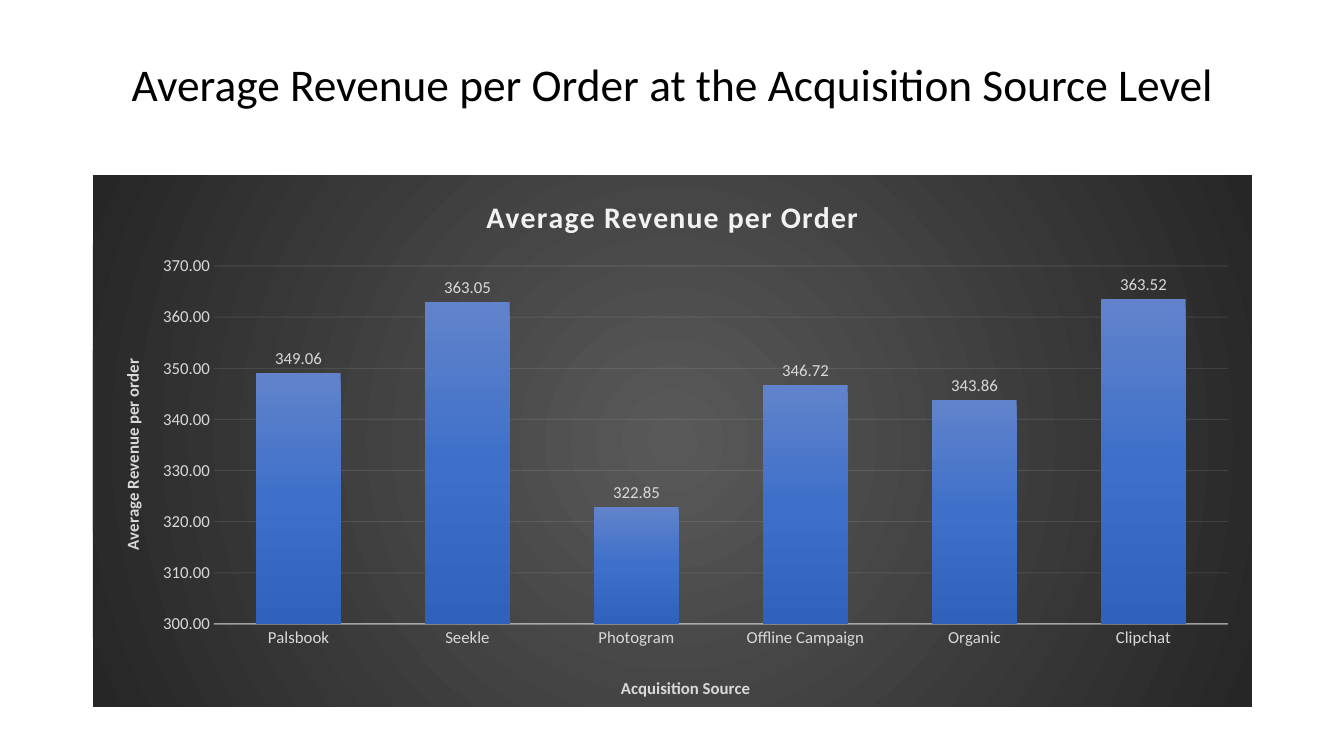
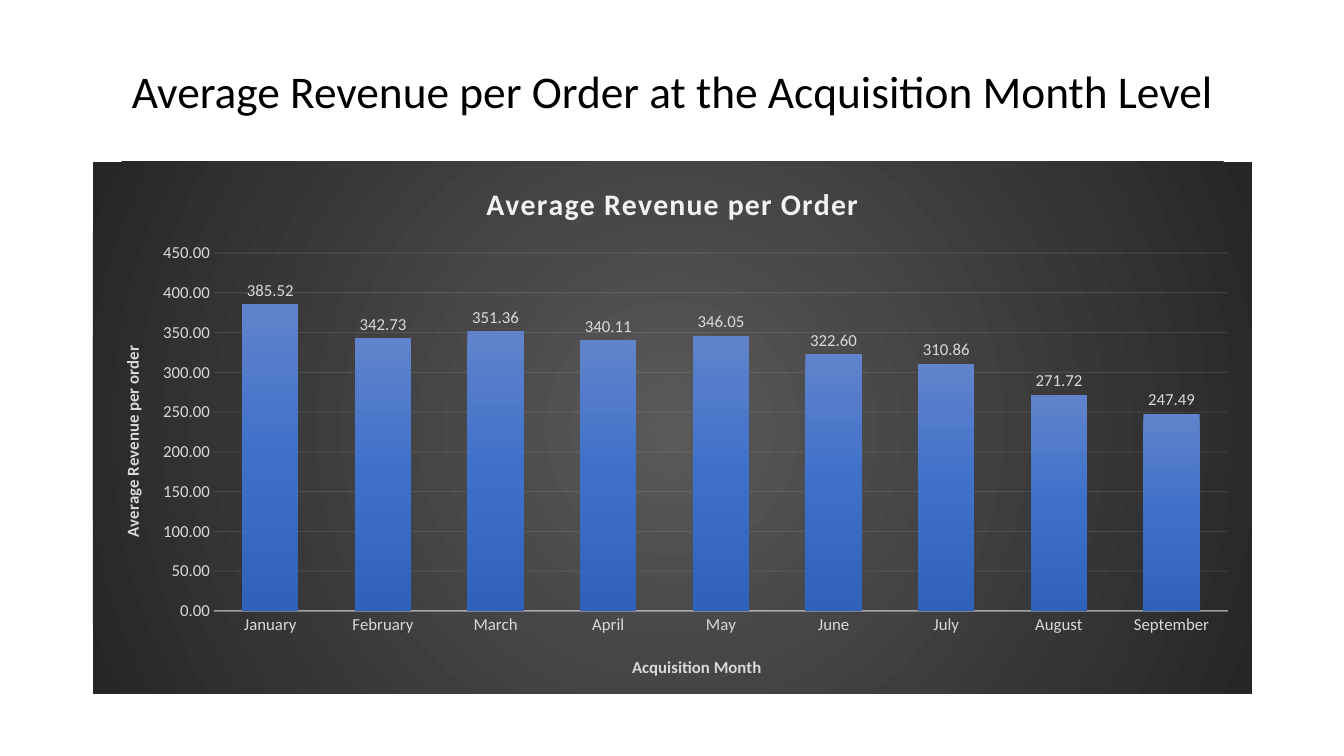
"""Build two slides of average revenue per order as dark column charts."""
from pptx import Presentation
from pptx.chart.data import CategoryChartData
from pptx.dml.color import RGBColor
from pptx.enum.chart import XL_CHART_TYPE as ChartType
from pptx.enum.chart import XL_LABEL_POSITION as LabelPosition
from pptx.enum.chart import XL_TICK_MARK as TickMark
from pptx.enum.text import MSO_ANCHOR as Anchor
from pptx.enum.text import PP_ALIGN as Align
from pptx.oxml import parse_xml
from pptx.oxml.ns import nsdecls
from pptx.util import Pt

PX = 914400 / 100.8
PAGE_WIDTH, PAGE_HEIGHT = 1344, 756
LEFT, WIDTH = 93, 1159
TITLE_TOP = 40
FONT = "Calibri"

BLACK = RGBColor(0x00, 0x00, 0x00)
PALE = RGBColor(0xF2, 0xF2, 0xF2)
LIGHT = RGBColor(0xD9, 0xD9, 0xD9)
PANEL_STOPS = [(0, RGBColor(0x59, 0x59, 0x59)), (100, RGBColor(0x26, 0x26, 0x26))]
COLUMN_STOPS = [
    (0, RGBColor(0x61, 0x83, 0xCB)),
    (50, RGBColor(0x3E, 0x70, 0xCA)),
    (100, RGBColor(0x30, 0x62, 0xBB)),
]
RADIAL = ('<a:path path="circle"><a:fillToRect l="50000" t="50000" '
          'r="50000" b="50000"/></a:path>')
DOWNWARD = '<a:lin ang="5400000" scaled="0"/>'

CHART_TITLE = "Average Revenue per Order"
VALUE_TITLE = "Average Revenue per order"
PLOT_AREA = (121, 91, 1014, 358)
VALUE_TITLE_AT = (25, 181)

SLIDES = [
    {
        "title": "Average Revenue per Order at the Acquisition Source Level",
        "title_height": 94,
        "chart_top": 175,
        "chart_height": 532,
        "category_title": "Acquisition Source",
        "category_title_at": (525, 499),
        "scale": (300, 370, 10),
        "revenue": [
            ("Palsbook", 349.06), ("Seekle", 363.05), ("Photogram", 322.85),
            ("Offline Campaign", 346.72), ("Organic", 343.86), ("Clipchat", 363.52),
        ],
    },
    {
        "title": "Average Revenue per Order at the Acquisition Month Level",
        "title_height": 108,
        "chart_top": 162,
        "chart_height": 532,
        "category_title": "Acquisition Month",
        "category_title_at": (536, 491),
        "scale": (0, 450, 50),
        "revenue": [
            ("January", 385.52), ("February", 342.73), ("March", 351.36),
            ("April", 340.11), ("May", 346.05), ("June", 322.60),
            ("July", 310.86), ("August", 271.72), ("September", 247.49),
        ],
    },
]


def px(length):
    return round(length * PX)


def set_font(font, size, color, bold=False):
    font.name, font.size, font.bold = FONT, Pt(size), bold
    font.color.rgb = color


def write_text(frame, text, *, size, color, bold=False, line_spacing=None, tracking=0):
    para = frame.paragraphs[0]
    para.alignment = Align.CENTER
    para.line_spacing = line_spacing
    span = para.add_run()
    span.text = text
    set_font(span.font, size, color, bold)
    if tracking:
        span.font._element.set("spc", str(tracking))


def gradient(stops, direction):
    marks = "".join(
        f'<a:gs pos="{place * 1000}"><a:srgbClr val="{color}"/></a:gs>'
        for place, color in stops)
    return parse_xml(f'<a:gradFill {nsdecls("a")} rotWithShape="1">'
                     f'<a:gsLst>{marks}</a:gsLst>{direction}</a:gradFill>')


def manual_layout(height, left, top, *size):
    shares = [("x", left / WIDTH), ("y", top / height)]
    if size:
        shares += [("w", size[0] / WIDTH), ("h", size[1] / height)]
    target = '<c:layoutTarget val="inner"/>' if size else ""
    modes = '<c:xMode val="edge"/><c:yMode val="edge"/>'
    values = "".join(f'<c:{name} val="{share:.4f}"/>' for name, share in shares)
    return parse_xml(f'<c:layout {nsdecls("c")}><c:manualLayout>{target}{modes}'
                     f'{values}</c:manualLayout></c:layout>')


def place(part, layout):
    for old in part.xpath("c:layout"):
        part.remove(old)
    text = part.xpath("c:tx")
    if text:
        text[0].addnext(layout)
    else:
        part.insert(0, layout)


def style_line(line, width, opacity):
    line.width = Pt(width)
    line.color.rgb = PALE
    color = line._ln.xpath("a:solidFill/a:srgbClr")[0]
    color.append(parse_xml(f'<a:alpha {nsdecls("a")} val="{opacity * 1000}"/>'))


def style_axis(axis, title, layout):
    axis.major_tick_mark = axis.minor_tick_mark = TickMark.NONE
    set_font(axis.tick_labels.font, 12, LIGHT)
    write_text(axis.axis_title.text_frame, title, size=12, color=LIGHT, bold=True)
    place(axis.axis_title.element, layout)


def style_axes(chart, content):
    height = content["chart_height"]
    category, value = chart.category_axis, chart.value_axis
    style_axis(category, content["category_title"],
               manual_layout(height, *content["category_title_at"]))
    style_line(category.format.line, 1, 54)
    style_axis(value, VALUE_TITLE, manual_layout(height, *VALUE_TITLE_AT))
    body = value.axis_title.element.xpath("c:tx/c:rich/a:bodyPr")[0]
    body.set("rot", "-5400000")
    body.set("vert", "horz")
    value.minimum_scale, value.maximum_scale, value.major_unit = content["scale"]
    value.tick_labels.number_format = "0.00"
    value.tick_labels.number_format_is_linked = False
    value.format.line.fill.background()
    style_line(value.major_gridlines.format.line, 0.75, 10)


def style_columns(plot, chart):
    plot.gap_width, plot.overlap = 100, -24
    plot.vary_by_categories = False
    plot.series[0].format.fill.solid()
    solid = chart.element.xpath(".//c:ser/c:spPr/a:solidFill")[0]
    solid.getparent().replace(solid, gradient(COLUMN_STOPS, DOWNWARD))
    plot.has_data_labels = True
    labels = plot.data_labels
    labels.show_value = True
    labels.position = LabelPosition.OUTSIDE_END
    labels.number_format, labels.number_format_is_linked = "0.00", False
    set_font(labels.font, 12, LIGHT)


def add_revenue_chart(page, content):
    data = CategoryChartData(number_format="0.00")
    names, values = zip(*content["revenue"])
    data.categories = names
    data.add_series("Series 1", values)
    height = content["chart_height"]
    chart = page.shapes.add_chart(
        ChartType.COLUMN_CLUSTERED, px(LEFT), px(content["chart_top"]),
        px(WIDTH), px(height), data).chart
    set_font(chart.font, 10, BLACK)
    chart.has_legend = False
    write_text(chart.chart_title.text_frame, CHART_TITLE,
               size=21.3, color=PALE, bold=True, tracking=100)
    chart.chart_title.include_in_layout = False
    style_axes(chart, content)
    style_columns(chart.plots[0], chart)
    place(chart.element.xpath("c:chart/c:plotArea")[0],
          manual_layout(height, *PLOT_AREA))
    panel = parse_xml(f'<c:spPr {nsdecls("c", "a")}><a:ln><a:noFill/></a:ln></c:spPr>')
    panel.insert(0, gradient(PANEL_STOPS, RADIAL))
    chart.element.xpath("c:chart")[0].addnext(panel)


def add_page(deck, content):
    page = deck.slides.add_slide(deck.slide_layouts[5])
    box = page.shapes.title
    box.left, box.top = px(LEFT), px(TITLE_TOP)
    box.width, box.height = px(WIDTH), px(content["title_height"])
    box.text_frame.vertical_anchor = Anchor.MIDDLE
    write_text(box.text_frame, content["title"],
               size=32.4, color=BLACK, line_spacing=0.9)
    add_revenue_chart(page, content)


def main():
    deck = Presentation()
    deck.slide_width, deck.slide_height = px(PAGE_WIDTH), px(PAGE_HEIGHT)
    for content in SLIDES:
        add_page(deck, content)
    deck.save("out.pptx")


if __name__ == "__main__":
    main()
